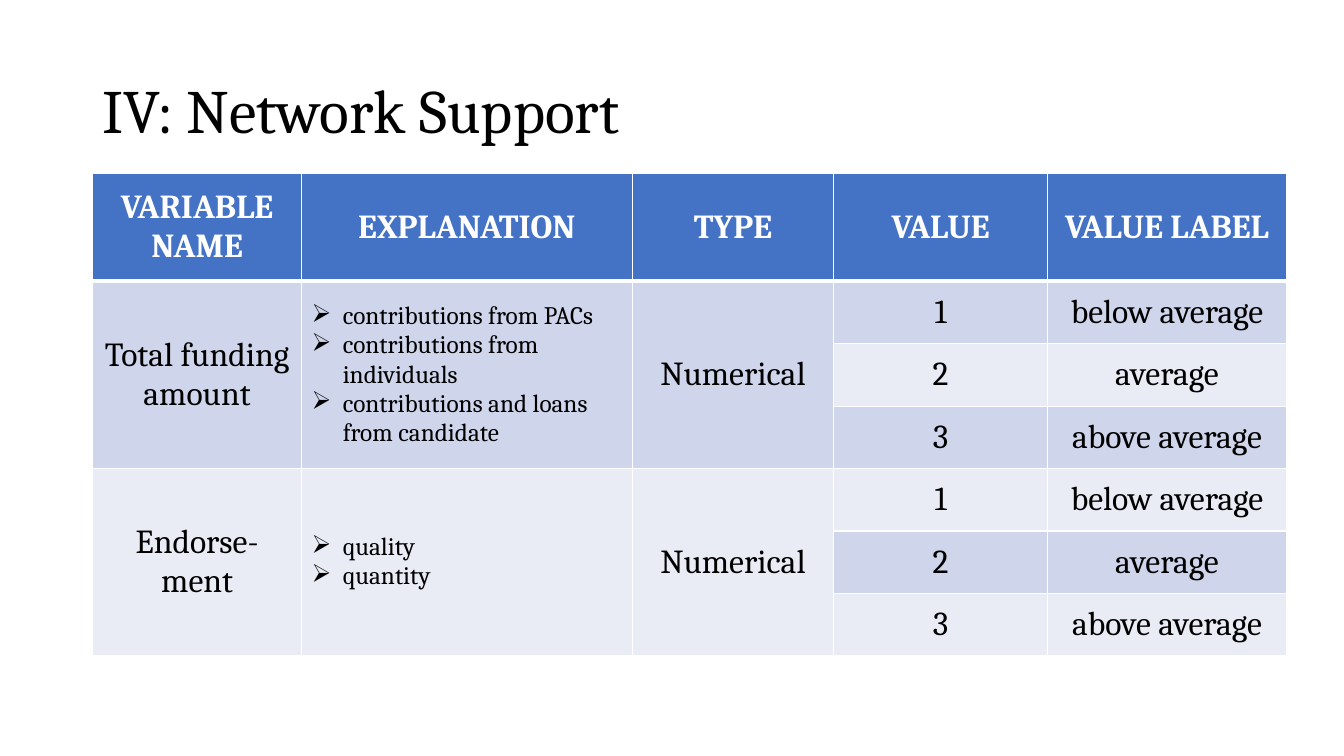
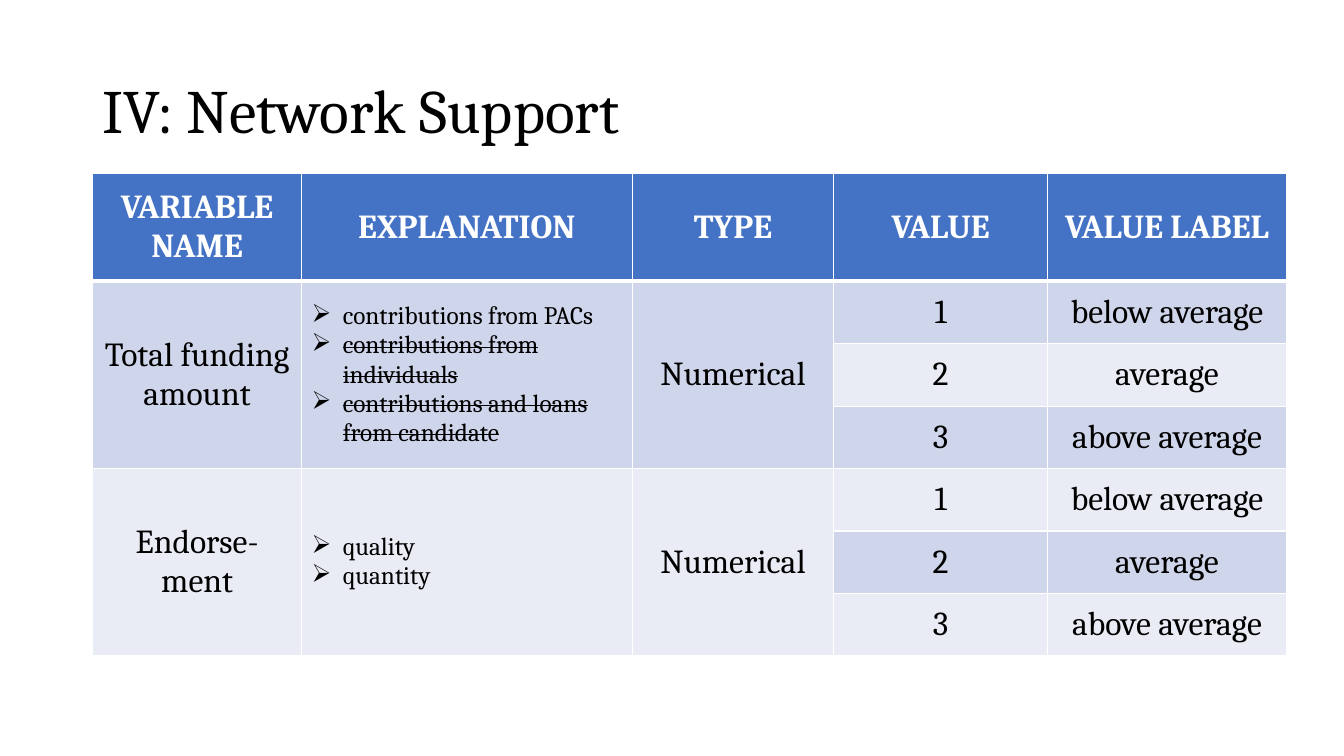
from lxml import etree
from pptx import Presentation
from pptx.dml.color import RGBColor
from pptx.enum.text import MSO_ANCHOR, MSO_AUTO_SIZE, PP_ALIGN
from pptx.oxml.ns import qn
from pptx.util import Inches, Pt

LEFT, CENTER = PP_ALIGN.LEFT, PP_ALIGN.CENTER
MIDDLE = MSO_ANCHOR.MIDDLE
NO_AUTOFIT = MSO_AUTO_SIZE.NONE

FONT = "Cambria"
BLACK = RGBColor(0x00, 0x00, 0x00)
WHITE = RGBColor(0xFF, 0xFF, 0xFF)
HEADER_BLUE = RGBColor(0x44, 0x72, 0xC4)
BAND_COLORS = (RGBColor(0xCF, 0xD5, 0xEA), RGBColor(0xE9, 0xEB, 0xF5))

TITLE = "IV: Network Support"
HEADERS = ("VARIABLE NAME", "EXPLANATION", "TYPE", "VALUE", "VALUE LABEL")
VALUES = (("1", "below average"), ("2", "average"), ("3", "above average"))
FUNDING_SOURCES = (
    "contributions from PACs",
    "contributions from individuals",
    "contributions and loans from candidate",
)
VARIABLES = (
    {"name": ("Total funding amount",), "explanation": FUNDING_SOURCES, "type": "Numerical"},
    {"name": ("Endorse-", "ment"), "explanation": ("quality", "quantity"), "type": "Numerical"},
)
STRUCK_BY_SLIDE = ((), FUNDING_SOURCES[1:])

TABLE_LEFT, TABLE_TOP = 0.92, 1.72
COLUMN_WIDTHS = (2.07, 3.28, 2, 2.12, 2.37)
HEADER_HEIGHT, ROW_HEIGHT = 1.07, 0.62
BULLET_INDENT = Inches(0.31)


def add_bullet(paragraph):
    properties = paragraph._p.get_or_add_pPr()
    properties.set("marL", str(BULLET_INDENT))
    properties.set("indent", str(-BULLET_INDENT))
    etree.SubElement(properties, qn("a:buChar")).set("char", "➢")


def write_text(frame, lines, size=24, color=BLACK, bold=False, align=CENTER,
               bullets=False, struck=(), line_spacing=None):
    """Write one paragraph per line; lines listed in struck are crossed out."""
    for index, line in enumerate(lines):
        paragraph = frame.add_paragraph() if index else frame.paragraphs[0]
        paragraph.alignment = align
        if line_spacing:
            paragraph.line_spacing = line_spacing
        if bullets:
            add_bullet(paragraph)
        run = paragraph.add_run()
        run.text = line
        font = run.font
        font.name, font.size, font.bold = FONT, Pt(size), bold
        font.color.rgb = color
        if line in struck:
            font._element.set("strike", "sngStrike")


def style_cell(cell, fill_color, top=1, bottom=1):
    """Set fill, anchor and white borders; top and bottom are widths in points."""
    properties = cell._tc.get_or_add_tcPr()
    for side, width in (("L", 1), ("R", 1), ("T", top), ("B", bottom)):
        line = etree.SubElement(properties, qn(f"a:ln{side}"), w=str(Pt(width)))
        fill = etree.SubElement(line, qn("a:solidFill"))
        etree.SubElement(fill, qn("a:srgbClr"), val=str(WHITE))
    cell.fill.solid()
    cell.fill.fore_color.rgb = fill_color
    cell.vertical_anchor = MIDDLE


def add_variable_table(slide, struck):
    row_count = 1 + len(VARIABLES) * len(VALUES)
    heights = [HEADER_HEIGHT] + [ROW_HEIGHT] * (row_count - 1)
    table = slide.shapes.add_table(
        row_count, len(HEADERS), Inches(TABLE_LEFT), Inches(TABLE_TOP),
        Inches(sum(COLUMN_WIDTHS)), Inches(sum(heights))).table
    for column, width in zip(table.columns, COLUMN_WIDTHS):
        column.width = Inches(width)
    for row, height in zip(table.rows, heights):
        row.height = Inches(height)

    for column, header in enumerate(HEADERS):
        cell = table.cell(0, column)
        style_cell(cell, HEADER_BLUE, bottom=3)
        write_text(cell.text_frame, [header], color=WHITE, bold=True)
        for row in range(1, row_count):
            style_cell(table.cell(row, column), BAND_COLORS[(row - 1) % 2],
                       top=3 if row == 1 else 1)

    for index, variable in enumerate(VARIABLES):
        first = 1 + index * len(VALUES)
        for column in range(3):
            table.cell(first, column).merge(table.cell(first + len(VALUES) - 1, column))
        name, explanation, kind = (table.cell(first, column).text_frame for column in range(3))
        write_text(name, variable["name"])
        write_text(explanation, variable["explanation"], size=18, align=LEFT,
                   bullets=True, struck=struck)
        write_text(kind, [variable["type"]])
        for row, pair in enumerate(VALUES, first):
            for column, text in enumerate(pair, 3):
                write_text(table.cell(row, column).text_frame, [text])


def main():
    presentation = Presentation()
    presentation.slide_width, presentation.slide_height = Inches(13.33), Inches(7.5)
    layout = presentation.slide_layouts.get_by_name("Title Only")
    layout_title = layout.placeholders[0]
    layout_title.left, layout_title.top = Inches(0.92), Inches(0.4)
    layout_title.width, layout_title.height = Inches(11.5), Inches(1.45)
    layout_title.text_frame.vertical_anchor = MIDDLE
    layout_title.text_frame.auto_size = NO_AUTOFIT

    for struck in STRUCK_BY_SLIDE:
        slide = presentation.slides.add_slide(layout)
        write_text(slide.shapes.title.text_frame, [TITLE], size=44, align=LEFT, line_spacing=0.9)
        add_variable_table(slide, struck)
    presentation.save("out.pptx")


if __name__ == "__main__":
    main()
